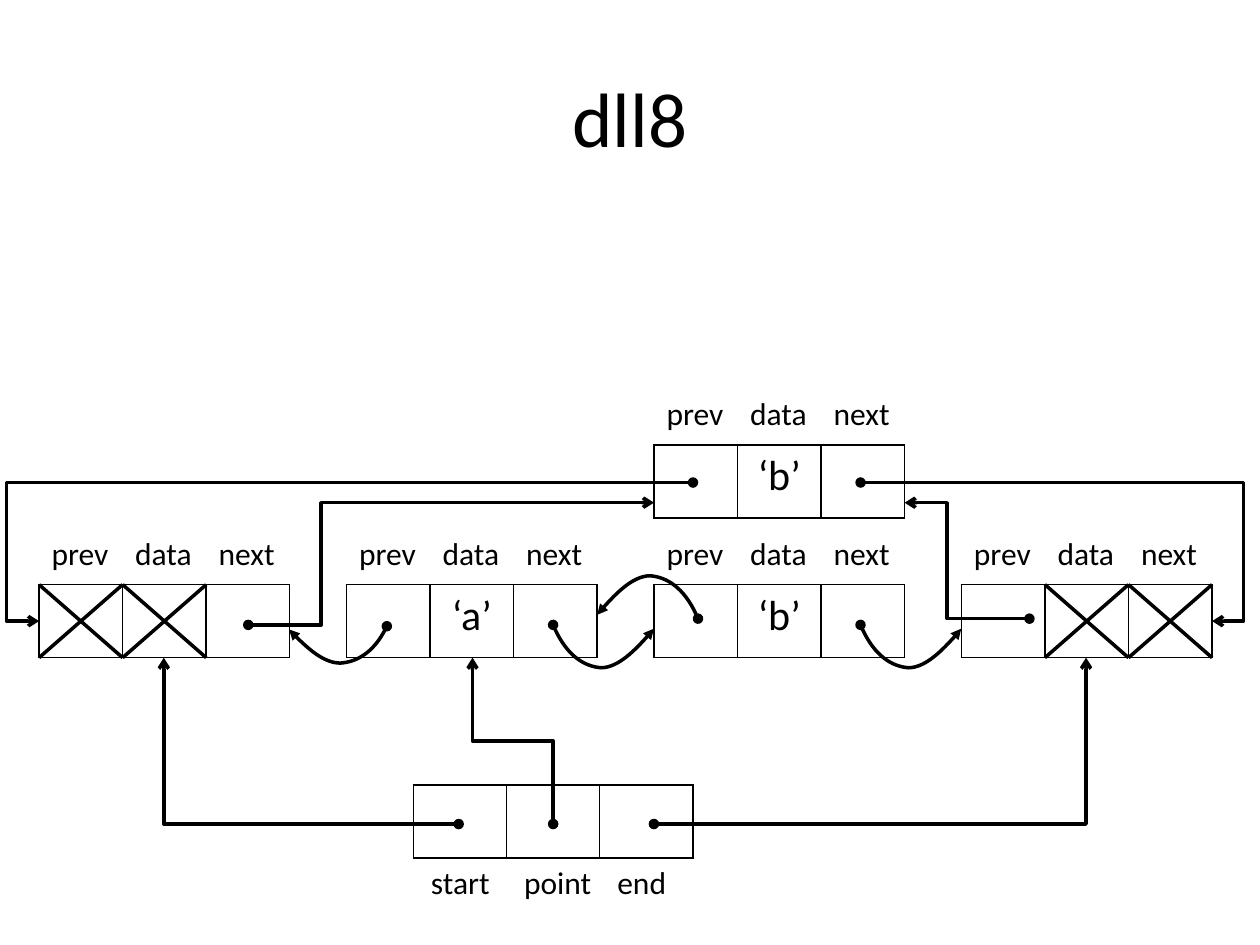
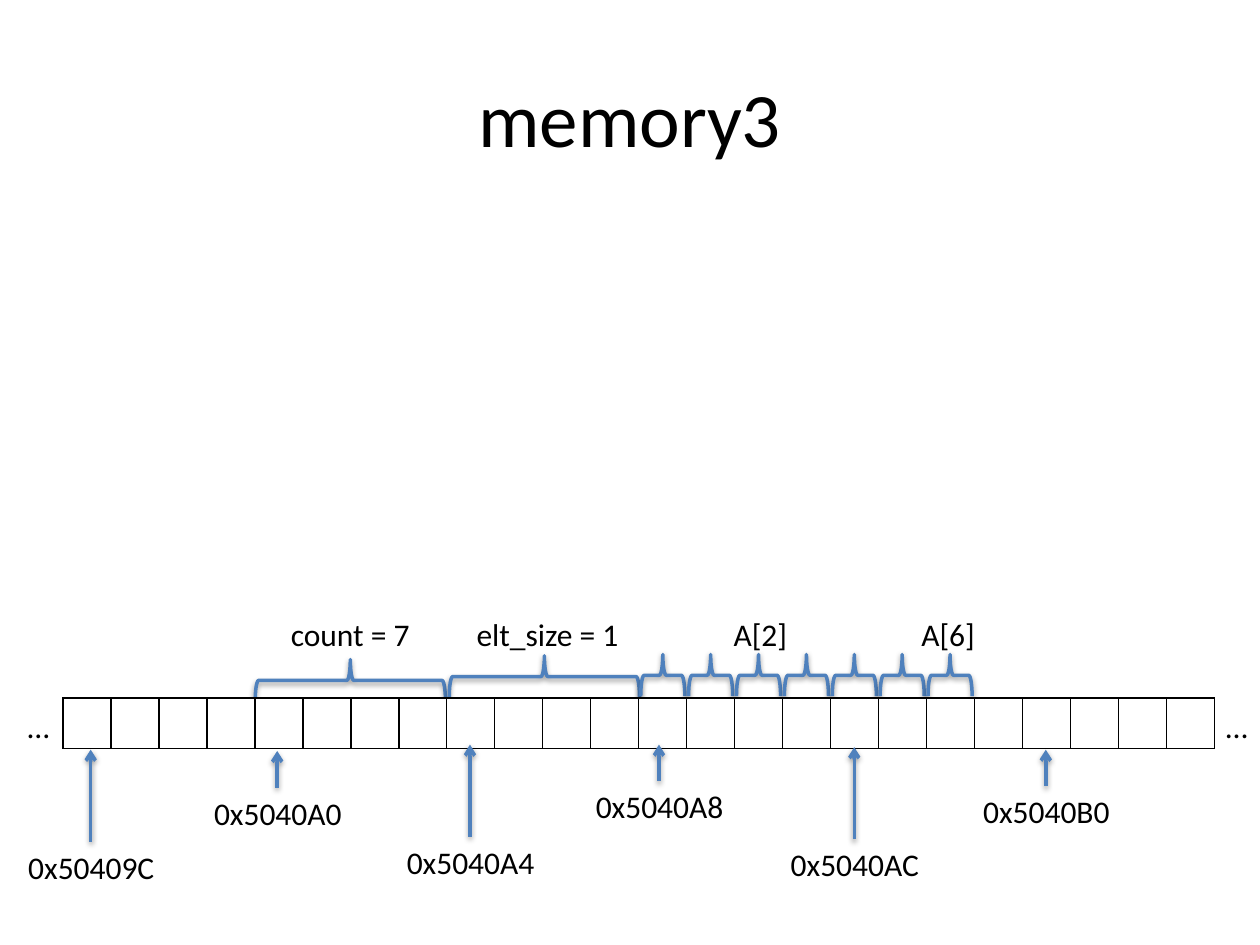
from lxml.etree import SubElement
from pptx import Presentation
from pptx.dml.color import RGBColor
from pptx.enum.shapes import MSO_CONNECTOR, MSO_SHAPE
from pptx.enum.text import MSO_ANCHOR, PP_ALIGN
from pptx.oxml import parse_xml
from pptx.oxml.ns import qn
from pptx.util import Inches, Pt

BLACK, WHITE, BLUE = "000000", "FFFFFF", "4F81BD"
FONT = "Calibri"
DRAWING = 'xmlns:a="http://schemas.openxmlformats.org/drawingml/2006/main"'
PLAIN_TABLE = "{2D5ABB26-0587-4C30-8999-92F81FD0307C}"

NODE_WIDTH, CELL_HEIGHT, LABEL_HEIGHT = 1.99, 0.58, 0.4
NODE_CELL = NODE_WIDTH / 3


def color(value):
    return RGBColor.from_string(value)


# Shared text, line and shadow styles
def write(text_frame, text, size=18, align=PP_ALIGN.LEFT):
    text_frame.text = text
    paragraph = text_frame.paragraphs[0]
    paragraph.alignment = align
    paragraph.font.size = Pt(size)
    paragraph.font.name = FONT
    paragraph.font.color.rgb = color(BLACK)


def add_text(slide, text, left, top, width, height=LABEL_HEIGHT, size=18,
             align=PP_ALIGN.CENTER, wrap=False, anchor=MSO_ANCHOR.TOP):
    box = slide.shapes.add_textbox(Inches(left), Inches(top), Inches(width), Inches(height))
    write(box.text_frame, text, size, align)
    box.text_frame.word_wrap = wrap
    box.text_frame.vertical_anchor = anchor


def add_title(slide, text):
    add_text(slide, text, 0.5, 0.3, 9, 1.25, 44, wrap=True, anchor=MSO_ANCHOR.MIDDLE)


def style_line(shape, line_color=BLACK, head=None, tail=None, shadow=False):
    shape.line.color.rgb = color(line_color)
    shape.line.width = Pt(2)
    properties = shape._element.spPr
    line = properties.find(qn("a:ln"))
    for tag, kind in (("a:headEnd", head), ("a:tailEnd", tail)):
        if kind:
            SubElement(line, qn(tag), type=kind)
    effect = ('<a:outerShdw blurRad="40000" dist="20000" dir="5400000" rotWithShape="0">'
              f'<a:srgbClr val="{BLACK}"><a:alpha val="38000"/></a:srgbClr></a:outerShdw>')
    properties.append(parse_xml(f"<a:effectLst {DRAWING}>{effect if shadow else ''}</a:effectLst>"))


def add_line(slide, start, end, kind=MSO_CONNECTOR.STRAIGHT, **style):
    connector = slide.shapes.add_connector(kind, *map(Inches, (*start, *end)))
    style_line(connector, **style)
    return connector


# Tables of one row
def add_row(slide, texts, left, top, width, height, boxed=True, size=18):
    frame = slide.shapes.add_table(1, len(texts), Inches(left), Inches(top),
                                   Inches(width), Inches(height))
    table = frame.table
    table.first_row = table.horz_banding = False
    table._tbl.tblPr.find(qn("a:tableStyleId")).text = PLAIN_TABLE
    for column, text in enumerate(texts):
        table.columns[column].width = Inches(width / len(texts))
        cell = table.cell(0, column)
        if text:
            write(cell.text_frame, text, size, PP_ALIGN.CENTER if boxed else PP_ALIGN.LEFT)
        if not boxed:
            cell.fill.background()
            continue
        cell.fill.solid()
        cell.fill.fore_color.rgb = color(WHITE)
        for index, side in enumerate("LRTB"):
            cell._tc.tcPr.insert(index, parse_xml(
                f'<a:ln{side} {DRAWING} w="12700"><a:solidFill><a:srgbClr val="{BLACK}"/>'
                f"</a:solidFill></a:ln{side}>"))


# Linked list parts
def add_node(slide, left, top, data="", crossed=()):
    add_row(slide, ["", data, ""], left, top, NODE_WIDTH, CELL_HEIGHT, size=24)
    add_row(slide, ["prev", "data", "next"], left, top - 0.44, NODE_WIDTH, LABEL_HEIGHT,
            boxed=False)
    for column in crossed:
        x, right, bottom = left + column * NODE_CELL, left + (column + 1) * NODE_CELL, top + CELL_HEIGHT
        add_line(slide, (x, top), (right, bottom))
        add_line(slide, (x, bottom), (right, top))


def add_curve(slide, start, x_scale=1, y_scale=1):
    """Pointer that swings from a dot to the side of the next node."""
    offsets = [(0.1, 0.24), (0.25, 0.33), (0.38, 0.34), (0.52, 0.34), (0.73, 0.12), (0.8, 0.03)]
    points = [(Inches(start[0] + x * x_scale), Inches(start[1] + y * y_scale))
              for x, y in offsets]
    builder = slide.shapes.build_freeform(*map(Inches, start))
    builder.add_line_segments(points, close=False)
    shape = builder.convert_to_shape()
    # Join each three points into one Bezier segment
    segments = list(shape._element.spPr.iter(qn("a:lnTo")))
    for index in range(0, len(segments), 3):
        bezier = SubElement(segments[0].getparent() if index == 0 else outline,
                            qn("a:cubicBezTo"))
        outline = bezier.getparent()
        for segment in segments[index:index + 3]:
            bezier.append(segment[0])
            outline.remove(segment)
    shape.fill.background()
    style_line(shape, head="oval", tail="triangle")


def add_elbow(slide, start, end, bend=None, rotation=0):
    """Elbow arrow; bend is the share of the run before the turn, None for one corner."""
    connector = add_line(slide, start, end, MSO_CONNECTOR.ELBOW, head="oval", tail="arrow")
    frame = connector._element.spPr.find(qn("a:xfrm"))
    geometry = connector._element.spPr.find(qn("a:prstGeom"))
    if bend is None:
        geometry.set("prst", "bentConnector2")
    else:
        guides = geometry.find(qn("a:avLst"))
        SubElement(guides, qn("a:gd"), name="adj1", fmla=f"val {round(bend * 100000)}")
    # A leftward arrow is turned by half a circle
    if end[0] < start[0]:
        del frame.attrib["flipH"]
        rotation = 180
        if end[1] < start[1]:
            del frame.attrib["flipV"]
        else:
            frame.set("flipV", "1")
    if rotation:
        frame.set("rot", str(rotation * 60000))


def add_handles(slide, left, top):
    """The start, point and end handles with arrows up to the list."""
    add_row(slide, ["start", "point", "end"], left + 0.04, top + CELL_HEIGHT, 2.22,
            LABEL_HEIGHT, boxed=False)
    add_row(slide, ["", "", ""], left, top, 2.22, CELL_HEIGHT)
    dot, target = top + 0.31, top - 1.01
    add_elbow(slide, (left + 0.36, dot), (1.3, target))
    add_elbow(slide, (left + 1.91, dot), (8.62, target))
    # Upright arrow: laid flat around its centre, then turned
    x, y = left + 0.79, (dot + target) / 2
    add_elbow(slide, (x - 0.66, y + 0.32), (x + 0.66, y - 0.32), 0.5, rotation=270)


def build_list_slide(slide):
    row_top, new_top = 4.64, 3.53
    nodes = [("", (0, 1)), ("‘a’", ()), ("‘b’", ()), ("", (1, 2))]
    lefts = [0.31 + 2.44 * index for index in range(len(nodes))]
    for left, (data, crossed) in zip(lefts, nodes):
        add_node(slide, left, row_top, data, crossed)
    add_node(slide, lefts[2], new_top, "‘b’")
    add_handles(slide, 3.28, 6.23)

    # Curved pointers between neighbours
    add_curve(slide, (lefts[1] + 1.64, 4.96))
    add_curve(slide, (lefts[2] + 1.64, 4.96))
    add_curve(slide, (lefts[2] + 0.35, 4.91), -1, -1)
    add_curve(slide, (lefts[1] + 0.32, 4.97), -0.97, 0.86)

    # Elbow pointers to and from the new node
    add_elbow(slide, (6.83, 3.83), (9.62, 4.93), 1.09)
    add_elbow(slide, (5.5, 3.83), (0.31, 4.93), 1.05)
    add_elbow(slide, (8.17, 4.91), (7.18, 3.99), 0.66)
    add_elbow(slide, (1.97, 4.96), (5.19, 3.99), 0.18)
    add_title(slide, "dll8")


# Memory strip parts
def add_brace(slide, center, middle, span):
    depth = 0.33
    brace = slide.shapes.add_shape(
        MSO_SHAPE.LEFT_BRACE, Inches(center - depth / 2), Inches(middle - span / 2),
        Inches(depth), Inches(span))
    brace.rotation = 90
    brace.fill.background()
    style_line(brace, BLUE, shadow=True)


def add_address(slide, text, center, top, arrow_length):
    add_text(slide, text, center - 0.61, top, 1.23)
    add_line(slide, (center, top), (center, top - arrow_length),
             line_color=BLUE, tail="arrow", shadow=True)


def build_memory_slide(slide):
    left, top, width = 0.5, 5.54, 9.14
    # Braces over the fields and the array elements
    add_brace(slide, 2.78, top - 0.14, 1.51)
    add_brace(slide, 4.32, top - 0.17, 1.51)
    for index in range(7):
        add_brace(slide, 5.26 + 0.38 * index, top - 0.18, 0.35)
    for text, x, text_width in (("count = 7", 2.2, 1.16), ("elt_size = 1", 3.67, 1.35),
                                ("A[2]", 5.72, 0.63), ("A[6]", 7.21, 0.63)):
        add_text(slide, text, x, top - 0.71, text_width)

    # Bytes
    add_row(slide, [""] * 24, left, top, width, 0.4)
    for x in (left - 0.38, left + width - 0.01):
        add_text(slide, "…", x, top + 0.02, 0.38, align=PP_ALIGN.LEFT)

    # Addresses, alternating between long and short arrows
    short, long = 0.29, 0.73
    for text, center, text_top, length in (
            ("0x50409C", 0.72, 6.68, long), ("0x5040A0", 2.2, 6.25, short),
            ("0x5040A4", 3.73, 6.64, long), ("0x5040A8", 5.23, 6.2, short),
            ("0x5040AC", 6.78, 6.66, long), ("0x5040B0", 8.3, 6.24, short)):
        add_address(slide, text, center, text_top, length)
    add_title(slide, "memory3")


def main():
    presentation = Presentation()
    presentation.slide_width, presentation.slide_height = Inches(10), Inches(7.5)
    for build in (build_list_slide, build_memory_slide):
        build(presentation.slides.add_slide(presentation.slide_layouts[6]))
    presentation.save("out.pptx")


if __name__ == "__main__":
    main()
